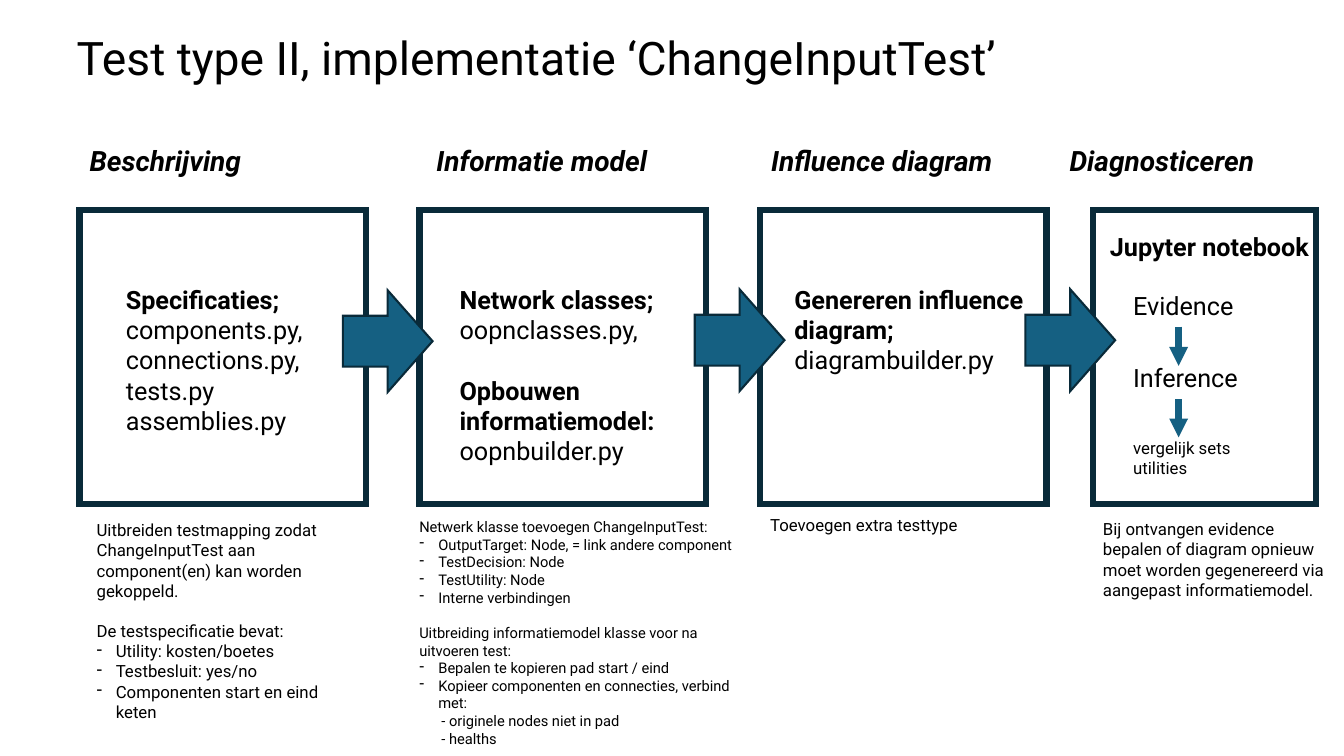
"""Build the slide on the ChangeInputTest implementation."""
from lxml.etree import SubElement
from pptx import Presentation
from pptx.dml.color import RGBColor
from pptx.enum.shapes import MSO_CONNECTOR, MSO_SHAPE
from pptx.enum.text import MSO_ANCHOR, MSO_AUTO_SIZE, PP_ALIGN
from pptx.oxml.ns import qn
from pptx.util import Inches, Pt

FONT = "Roboto"
BLACK, WHITE, NAVY, BLUE = "000000", "FFFFFF", "092A39", "156082"
TITLE = "Test type II, implementatie ‘ChangeInputTest’"

BOX_TOP, BOX_HEIGHT = 2.08, 2.92
BOXES = [(0.79, 2.84), (4.16, 2.84), (7.54, 2.84), (10.84, 2.21)]
BLOCK_ARROWS = [(3.4, 2.88), (6.89, 2.87), (10.17, 2.87)]
STEP_X = 11.69
STEP_ARROWS = [(3.24, 3.63), (3.96, 4.34)]

HEADING_TOP = 1.37
HEADINGS = [
    (0.79, 1.82, "Beschrijving"),
    (4.23, 2.88, "Informatie model"),
    (7.55, 2.52, "Influence diagram"),
    (10.51, 2.21, "Diagnosticeren"),
]

# Each paragraph is (style, bold part, regular part).
CONTENT_TOP = 2.77
CONTENTS = [
    (1.15, 2.46, 1.62, [
        ("plain", "Specificaties; ", "components.py, connections.py,"),
        ("plain", "", "tests.py"),
        ("plain", "", "assemblies.py"),
    ]),
    (4.46, 2.46, 1.92, [
        ("plain", "Network classes; ", "oopnclasses.py,"),
        ("gap", "Opbouwen informatiemodel:", ""),
        ("plain", "", "oopnbuilder.py"),
    ]),
    (7.78, 2.54, 1.01, [
        ("plain", "Genereren influence diagram; ", "diagrambuilder.py"),
    ]),
]

STEPS = [
    (10.91, 2.25, 2.2, 0.4, 18, "Jupyter notebook", ""),
    (11.14, 2.83, 1.24, 0.4, 18, "", "Evidence"),
    (11.14, 3.55, 1.33, 0.4, 18, "", "Inference"),
    (11.14, 4.29, 1.72, 0.5, 12, "", "vergelijk sets utilities"),
]

NOTES = [
    (0.86, 5.11, 2.49, 2.12, 12, [
        ("plain", "Uitbreiden testmapping zodat ChangeInputTest aan "
                  "component(en) kan worden gekoppeld."),
        ("gap", "De testspecificatie bevat:"),
        ("bullet", "Utility: kosten/boetes"),
        ("bullet", "Testbesluit: yes/no"),
        ("bullet", "Componenten start en eind keten"),
    ]),
    (4.06, 5.09, 3.49, 2.75, 10.5, [
        ("plain", "Netwerk klasse toevoegen ChangeInputTest:"),
        ("bullet", "OutputTarget: Node, = link andere component"),
        ("bullet", "TestDecision: Node"),
        ("bullet", "TestUtility: Node"),
        ("bullet", "Interne verbindingen"),
        ("gap", "Uitbreiding informatiemodel klasse voor na uitvoeren test:"),
        ("bullet", "Bepalen te kopieren pad start / eind"),
        ("bullet", "Kopieer componenten en connecties, verbind met:"),
        ("sub", "- originele nodes niet in pad"),
        ("sub", "- healths"),
    ]),
    (7.54, 5.06, 2.78, 0.3, 12, [("plain", "Toevoegen extra testtype")]),
    (10.84, 5.1, 2.49, 0.91, 12, [
        ("plain", "Bij ontvangen evidence bepalen of diagram opnieuw moet "
                  "worden gegenereerd via aangepast informatiemodel."),
    ]),
]


def color(value):
    return RGBColor.from_string(value)


def format_font(font, size, bold=False, italic=False):
    font.name, font.size, font.bold, font.italic = FONT, Pt(size), bold, italic
    font.color.rgb = color(BLACK)


def style_paragraph(paragraph, style, size):
    properties = paragraph._p.get_or_add_pPr()
    if style == "gap":
        paragraph.space_before = Pt(size * 1.2)
    elif style == "bullet":
        properties.set("marL", str(Inches(0.19)))
        properties.set("indent", str(-Inches(0.19)))
        SubElement(properties, qn("a:buChar")).set("char", "-")
    elif style == "sub":
        properties.set("marL", str(Inches(0.22)))


def add_text(slide, left, top, width, height, size, paragraphs, italic=False):
    box = slide.shapes.add_textbox(
        Inches(left), Inches(top), Inches(width), Inches(height))
    frame = box.text_frame
    frame.word_wrap = True
    frame.auto_size = MSO_AUTO_SIZE.SHAPE_TO_FIT_TEXT
    for index, (style, bold_text, regular_text) in enumerate(paragraphs):
        paragraph = frame.add_paragraph() if index else frame.paragraphs[0]
        style_paragraph(paragraph, style, size)
        for text, bold in ((bold_text, True), (regular_text, False)):
            if text:
                run = paragraph.add_run()
                run.text = text
                format_font(run.font, size, bold, italic)


def add_block(slide, kind, left, top, width, height, fill, line_width):
    shape = slide.shapes.add_shape(
        kind, Inches(left), Inches(top), Inches(width), Inches(height))
    shape.shadow.inherit = False
    shape.fill.solid()
    shape.fill.fore_color.rgb = color(fill)
    shape.line.color.rgb = color(NAVY)
    shape.line.width = Pt(line_width)
    SubElement(shape.line._get_or_add_ln(), qn("a:miter")).set("lim", "800000")


def add_step_arrow(slide, start, end):
    arrow = slide.shapes.add_connector(
        MSO_CONNECTOR.STRAIGHT, Inches(STEP_X), Inches(start),
        Inches(STEP_X), Inches(end))
    arrow.line.color.rgb = color(BLUE)
    arrow.line.width = Pt(4.5)
    SubElement(arrow.line._get_or_add_ln(), qn("a:tailEnd")).set("type", "triangle")
    SubElement(arrow._element.spPr, qn("a:effectLst"))


def add_title(slide):
    title = slide.shapes.title
    title.left, title.top = Inches(0.66), Inches(0.35)
    title.width, title.height = Inches(11.5), Inches(0.53)
    frame = title.text_frame
    frame.text = TITLE
    frame.auto_size = MSO_AUTO_SIZE.NONE
    frame.vertical_anchor = MSO_ANCHOR.BOTTOM
    paragraph = frame.paragraphs[0]
    paragraph.alignment = PP_ALIGN.LEFT
    paragraph.line_spacing = 0.7
    format_font(paragraph.runs[0].font, 33)


def main():
    presentation = Presentation()
    presentation.slide_width = Inches(13.33)
    presentation.slide_height = Inches(7.5)
    slide = presentation.slides.add_slide(presentation.slide_layouts[5])
    add_title(slide)
    for left, width in BOXES:
        add_block(slide, MSO_SHAPE.RECTANGLE, left, BOX_TOP, width, BOX_HEIGHT,
                  WHITE, 4.5)
    for left, width, text in HEADINGS:
        add_text(slide, left, HEADING_TOP, width, 0.44, 20,
                 [("plain", text, "")], italic=True)
    for left, width, height, paragraphs in CONTENTS:
        add_text(slide, left, CONTENT_TOP, width, height, 18, paragraphs)
    for left, top in BLOCK_ARROWS:
        add_block(slide, MSO_SHAPE.RIGHT_ARROW, left, top, 0.89, 1.01, BLUE, 1.5)
    for left, top, width, height, size, bold_text, regular_text in STEPS:
        add_text(slide, left, top, width, height, size,
                 [("plain", bold_text, regular_text)])
    for start, end in STEP_ARROWS:
        add_step_arrow(slide, start, end)
    for left, top, width, height, size, lines in NOTES:
        add_text(slide, left, top, width, height, size,
                 [(style, "", text) for style, text in lines])
    presentation.save("out.pptx")


if __name__ == "__main__":
    main()
